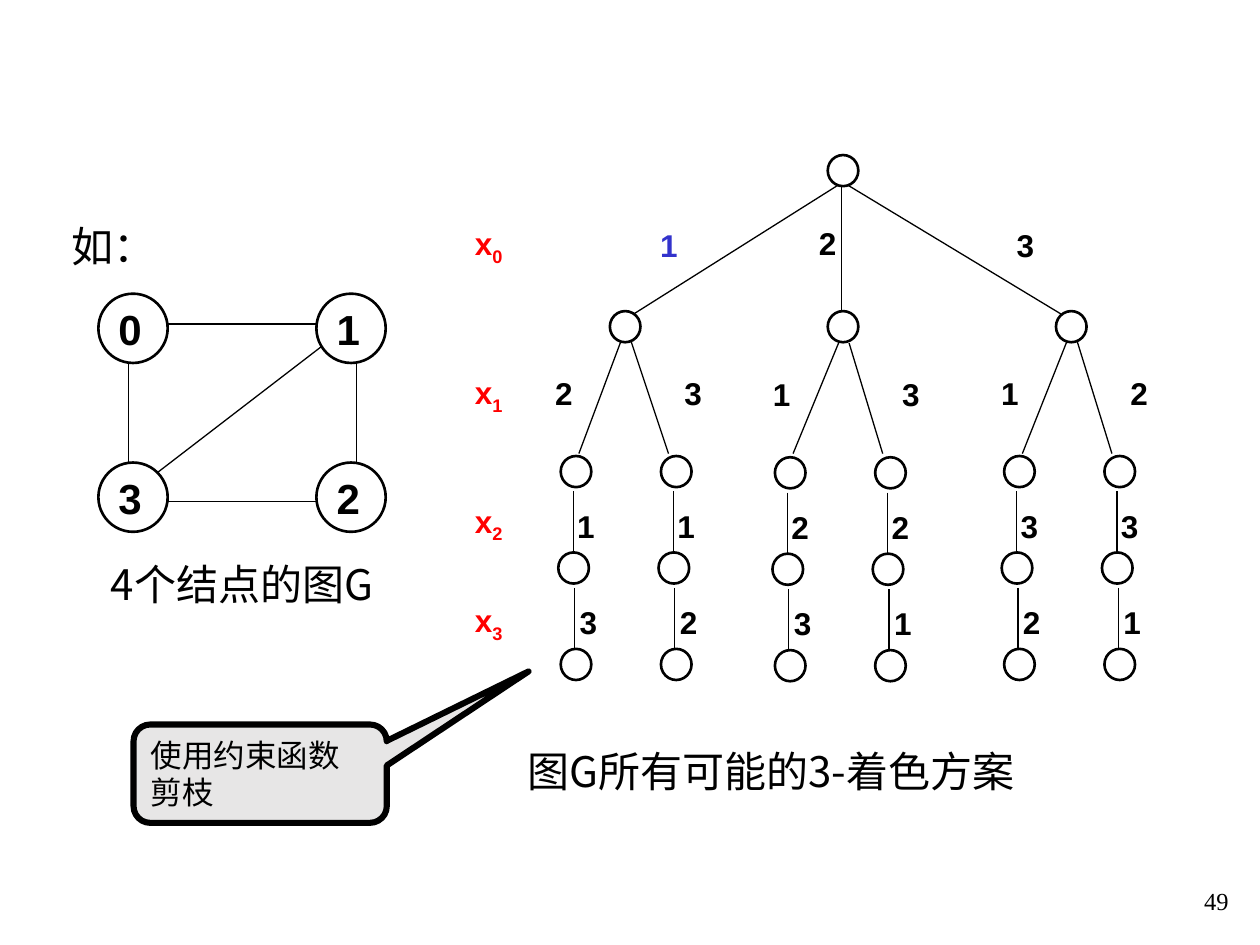
from pptx import Presentation
from pptx import util as u
from pptx.dml.color import RGBColor
from pptx.enum import shapes, text
from pptx.oxml import ns
from lxml import etree

Pt = u.Pt
BLACK = RGBColor(0x00, 0x00, 0x00)
WHITE = RGBColor(0xFF, 0xFF, 0xFF)
RED = RGBColor(0xFF, 0x00, 0x00)
BLUE = RGBColor(0x33, 0x33, 0xCC)
GREY = RGBColor(0xE7, 0xE6, 0xE6)
CJK = "Noto Sans CJK SC"


def add_run(paragraph, words, size, font="Arial", color=BLACK, bold=False):
    run = paragraph.add_run()
    run.text = words
    run.font.size = Pt(size)
    run.font.name = font
    run.font.color.rgb = color
    run.font.bold = bold
    if font != "Arial":
        etree.SubElement(run.font._element, ns.qn("a:ea")).set("typeface", font)
    return run


def add_label(region, left, top, width, height, inset=(0, 0)):
    label = region.add_textbox(Pt(left), Pt(top), Pt(width), Pt(height))
    frame = label.text_frame
    frame.word_wrap = True
    frame.margin_left = frame.margin_right = Pt(inset[0])
    frame.margin_top = frame.margin_bottom = Pt(inset[1])
    return frame.paragraphs[0]


def add_digit(region, left, top, digit, color=BLACK):
    add_run(add_label(region, left, top, 11.5, 21.6), digit, 18, color=color, bold=True)


def add_edge(region, x1, y1, x2, y2):
    edge = region.add_connector(shapes.MSO_CONNECTOR.STRAIGHT, Pt(x1), Pt(y1), Pt(x2), Pt(y2))
    edge.line.color.rgb = BLACK
    edge.line.width = Pt(0.75)
    etree.SubElement(edge._element.spPr, ns.qn("a:effectLst"))


def add_outlined(region, kind, left, top, width, height, fill, weight):
    outlined = region.add_shape(kind, Pt(left), Pt(top), Pt(width), Pt(height))
    outlined.shadow.inherit = False
    outlined.fill.solid()
    outlined.fill.fore_color.rgb = fill
    outlined.line.color.rgb = BLACK
    outlined.line.width = Pt(weight)
    return outlined


def add_node(region, left, top, width=17.5, height=17.8):
    add_outlined(region, shapes.MSO_SHAPE.OVAL, left, top, width, height, WHITE, 1.5)


def draw_graph(slide, left, top):
    graph = slide.shapes.add_group_shape().shapes
    edges = [
        (39.6, 17.3, 124.6, 17.3),
        (33.8, 118.8, 130.3, 118.8),
        (130.3, 28.1, 33.8, 102.2),
        (17.3, 39.6, 17.3, 102.2),
        (147.6, 102.2, 147.6, 39.6),
    ]
    for x1, y1, x2, y2 in edges:
        add_edge(graph, left + x1, top + y1, left + x2, top + y2)
    for row, vertices in enumerate(["01", "32"]):
        for column, vertex in enumerate(vertices):
            x, y = left + 124.6 * column, top + 96.5 * row
            add_node(graph, x, y, 39.6, 39.6)
            add_run(add_label(graph, x + 11.5, y + 5.5, 22.3, 28.8), vertex, 24, bold=True)


def draw_chain(tree, left, top, colors):
    step = 55.1
    for level, (color, edge_x, digit_x) in enumerate(zip(colors, (7.2, 7.9), (9.4, 10.8))):
        y = top + step * level
        add_edge(tree, left + edge_x, y + 20.2, left + edge_x, y + 55.8)
        add_digit(tree, left + digit_x, y + 29, color)
    for level, shift in enumerate((0, -1.4, 0)):
        add_node(tree, left + shift, top + step * level)


def draw_branch(tree, left, parent, top, drop, choices):
    leaf_top = top + 82.8 + drop
    for side, (first, *rest) in enumerate(choices):
        leaf = left + 57.3 * side
        add_edge(tree, parent + (6.2, 12.2)[side], top + 17.5 + drop,
                 leaf + (10.4, 4.3)[side], top + 81.4)
        add_digit(tree, parent + (-31.3, 42.6)[side], top + 36 + drop, first)
        draw_chain(tree, leaf, leaf_top, rest)
    add_node(tree, parent, top)


def draw_tree(slide, left, top):
    tree = slide.shapes.add_group_shape().shapes
    for index, y in enumerate((39.6, 124.5, 198, 254.8)):
        level = add_label(tree, left, top + y, 23, 21.6)
        add_run(level, "x", 18, color=RED, bold=True)
        subscript = add_run(level, str(index), 18, color=RED, bold=True)
        subscript.font._element.set("baseline", "-25000")

    root_edges = [(207.4, 90.8, 90.8), (209.6, 209.6, 89.2), (213.2, 334.8, 90.8)]
    for start, end, bottom in root_edges:
        add_edge(tree, left + start, top + 17.3, left + end, top + bottom)
    add_node(tree, left + 201.6, top)
    for x, y, digit, color in [(105.9, 40.3, "1", BLUE), (196.6, 39.6, "2", BLACK),
                               (309.6, 40.3, "3", BLACK)]:
        add_digit(tree, left + x, top + y, digit, color)

    branches = [
        (49, 77.1, 0, ("213", "312")),
        (171.4, 201.6, 0.7, ("123", "321")),
        (302.4, 332, 0, ("132", "231")),
    ]
    for x, parent, drop, choices in branches:
        draw_branch(tree, left + x, left + parent, top + 89.2, drop, choices)


def draw_caption(slide, left, top, width, words):
    add_run(add_label(slide.shapes, left, top, width, 36, (7.2, 3.6)), words, 24, CJK)


def draw_callout(slide, left, top, width, height):
    callout = add_outlined(slide.shapes, shapes.MSO_SHAPE.ROUNDED_RECTANGULAR_CALLOUT,
                           left, top, width, height, GREY, 3.5)
    for index, value in enumerate((1.06, -1.04, 0.17)):
        callout.adjustments[index] = value
    frame = callout.text_frame
    frame.word_wrap = True
    frame.vertical_anchor = text.MSO_ANCHOR.TOP
    frame.paragraphs[0].alignment = text.PP_ALIGN.LEFT
    add_run(frame.paragraphs[0], "使用约束函数剪枝", 18, "DejaVu Sans")


def draw_page_number(slide, left, top, width, height):
    number = add_label(slide.shapes, left, top, width, height, (7.2, 3.6))
    number.alignment = text.PP_ALIGN.RIGHT
    add_run(number, "49", 14, "Times New Roman")


def main():
    deck = Presentation()
    deck.slide_width, deck.slide_height = Pt(720), Pt(540)
    slide = deck.slides.add_slide(deck.slide_layouts[6])
    draw_graph(slide, 56.2, 167.8)
    draw_tree(slide, 271.4, 88.6)
    draw_caption(slide, 56.2, 315.4, 175.7, "4个结点的图G")
    draw_caption(slide, 294.5, 422.6, 351.4, "图G所有可能的3-着色方案")
    draw_caption(slide, 33.8, 122.4, 90.7, "如：")
    draw_page_number(slide, 626.4, 502.6, 82.8, 25.9)
    draw_callout(slide, 76.3, 414, 144.7, 56.2)
    deck.save("out.pptx")


if __name__ == "__main__":
    main()
